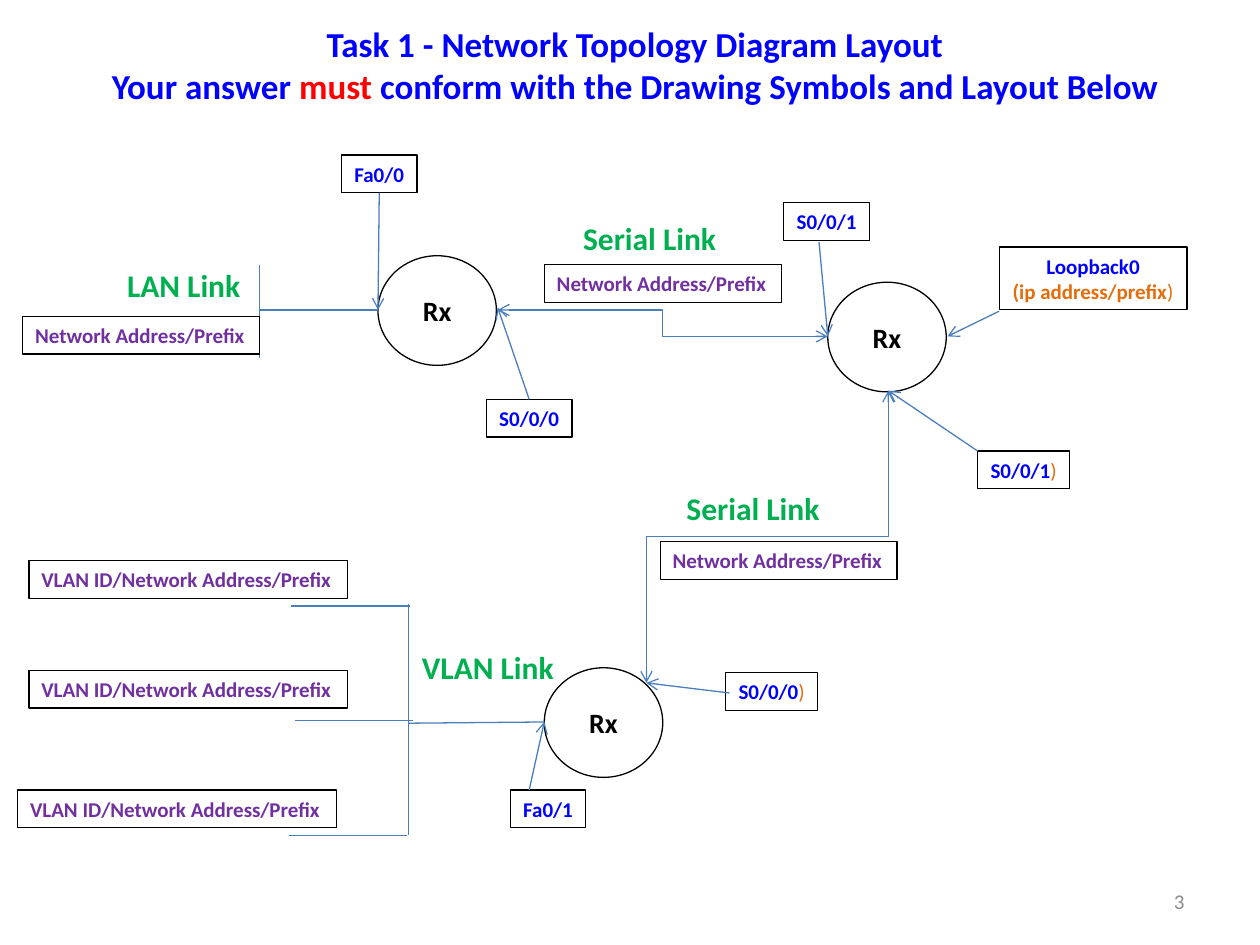
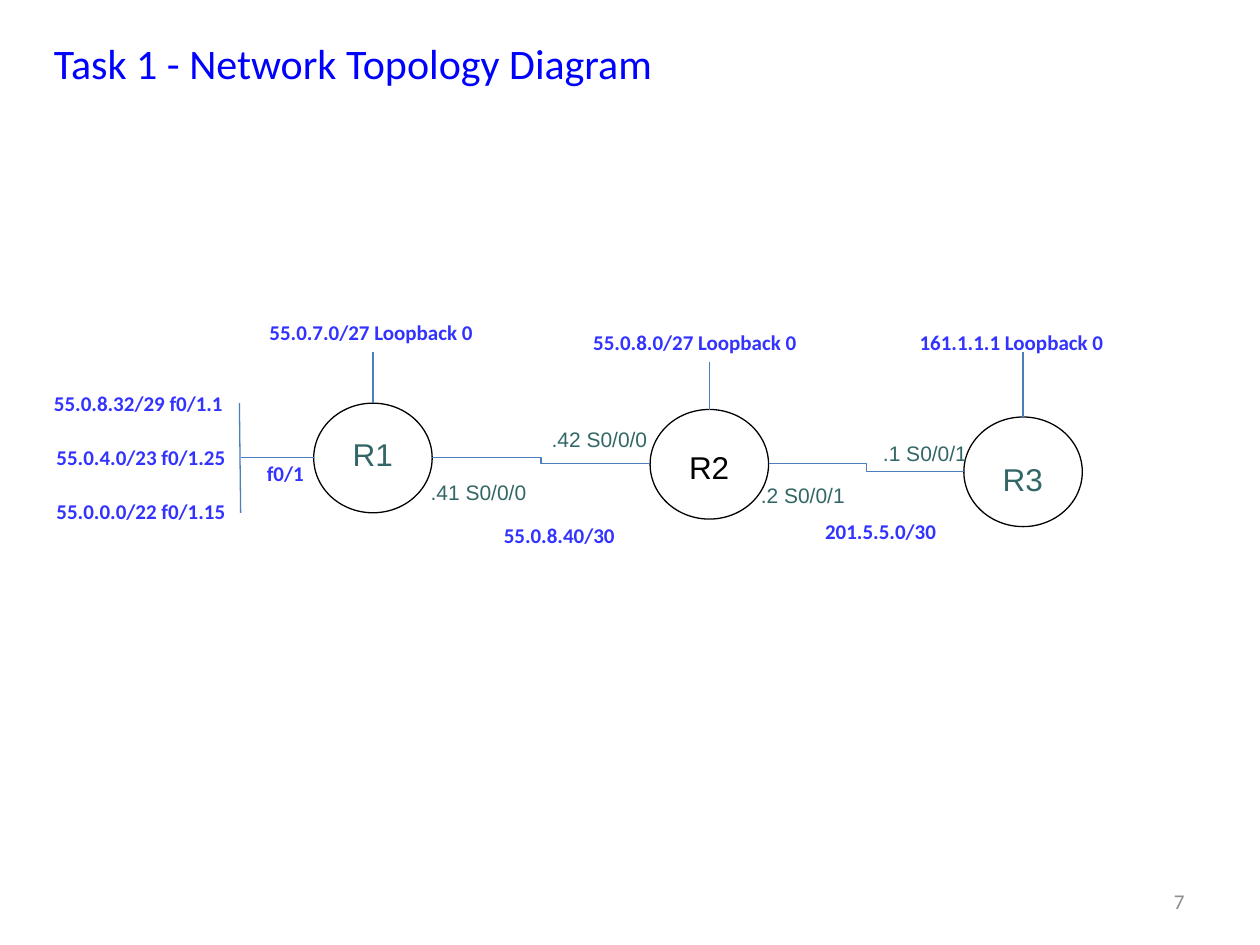
from lxml.etree import SubElement
from pptx import Presentation
from pptx.dml.color import RGBColor
from pptx.enum.shapes import MSO_CONNECTOR, MSO_SHAPE
from pptx.enum.text import MSO_ANCHOR, MSO_AUTO_SIZE, PP_ALIGN
from pptx.oxml.ns import qn
from pptx.util import Emu, Pt

EMU_PER_PX = 9144
ROUTER_W, ROUTER_H = 94, 87
LINE_H = 30
HEADING_H = 40
COLORS = {
    "title": "0000FF",
    "alert": "FF0000",
    "port": "0000FF",
    "hint": "E46C0A",
    "link": "00B050",
    "network": "7030A0",
    "address": "3333FF",
    "interface": "336666",
    "wire": "4B7EBC",
    "number": "8C8C8C",
    "black": "000000",
    "white": "FFFFFF",
}
BOTH_ENDS = ("headEnd", "tailEnd")
FAR_END = ("tailEnd",)


def px(*lengths):
    return [Emu(round(length * EMU_PER_PX)) for length in lengths]


def rgb(name):
    return RGBColor.from_string(COLORS[name])


def outline(shape, color):
    shape.line.color.rgb = rgb(color)
    shape.line.width = Pt(0.75)


def write(frame, paragraphs, size, color, bold=False, font="Calibri", align=PP_ALIGN.LEFT):
    for index, runs in enumerate(paragraphs):
        paragraph = frame.add_paragraph() if index else frame.paragraphs[0]
        paragraph.alignment = align
        paragraph.font.name = font
        paragraph.font.size = Pt(size)
        if isinstance(runs, str):
            paragraph.add_run().text = runs
            paragraph.font.color.rgb = rgb(color)
            paragraph.font.bold = bold
            continue
        for text, run_color, run_bold in runs:
            run = paragraph.add_run()
            run.text = text
            run.font.color.rgb = rgb(run_color)
            run.font.bold = run_bold


def add_text(slide, box, paragraphs, size, color, wrap=False, **style):
    label = slide.shapes.add_textbox(*px(*box))
    label.text_frame.word_wrap = wrap
    label.text_frame.auto_size = MSO_AUTO_SIZE.SHAPE_TO_FIT_TEXT
    write(label.text_frame, paragraphs, size, color, **style)
    return label


def add_boxed(slide, box, paragraphs, color, align=PP_ALIGN.LEFT):
    label = add_text(slide, box, paragraphs, 12, color, bold=True, align=align)
    outline(label, "black")
    return label


def add_port(slide, left, top, width, *paragraphs, height=LINE_H):
    return add_boxed(slide, (left, top, width, height), paragraphs, "port", PP_ALIGN.CENTER)


def add_network(slide, left, top, width, text):
    return add_boxed(slide, (left, top, width, LINE_H), [text], "network")


def add_link_name(slide, left, top, width, text):
    add_text(slide, (left, top, width, HEADING_H), [text], 18, "link", bold=True)


def add_address(slide, left, top, width, text):
    return add_text(slide, (left, top, width, LINE_H), [text], 12, "address", bold=True)


def add_router(slide, left, top, name=None):
    router = slide.shapes.add_shape(MSO_SHAPE.OVAL, *px(left, top, ROUTER_W, ROUTER_H))
    router.shadow.inherit = False
    router.fill.solid()
    router.fill.fore_color.rgb = rgb("white")
    outline(router, "black")
    if name:
        router.text_frame.word_wrap = False
        router.text_frame.vertical_anchor = MSO_ANCHOR.MIDDLE
        write(router.text_frame, [name], 16, "black", bold=True, align=PP_ALIGN.CENTER)


def add_wire(slide, begin, end, arrows=(), kind=MSO_CONNECTOR.STRAIGHT):
    wire = slide.shapes.add_connector(kind, *px(*begin, *end))
    outline(wire, "wire")
    properties = wire.element.spPr
    line = properties.find(qn("a:ln"))
    for tip in arrows:
        SubElement(line, qn(f"a:{tip}"), type="arrow")
    SubElement(properties, qn("a:effectLst"))
    return wire


def add_elbow(slide, begin, end, arrows=()):
    add_wire(slide, begin, end, arrows, MSO_CONNECTOR.ELBOW)


def add_upright_elbow(slide, begin, end, arrows=()):
    middle_x, middle_y = (begin[0] + end[0]) / 2, (begin[1] + end[1]) / 2
    turned = [(middle_x + y - middle_y, middle_y - x + middle_x) for x, y in (begin, end)]
    wire = add_wire(slide, *turned, arrows, MSO_CONNECTOR.ELBOW)
    wire.element.spPr.find(qn("a:xfrm")).set("rot", "5400000")


def add_page_number(slide, number):
    page = slide.shapes.add_textbox(*px(717, 695, 233, 40))
    page.text_frame.word_wrap = True
    page.text_frame.vertical_anchor = MSO_ANCHOR.MIDDLE
    write(page.text_frame, [number], 12, "number", align=PP_ALIGN.RIGHT)


def build_layout_guide(slide):
    for left, top in ((300, 203), (657, 224), (432, 530)):
        add_router(slide, left, top, "Rx")
    add_text(slide, (12, 13, 984, 77), [
        "Task 1 - Network Topology Diagram Layout",
        [("Your answer ", "title", True), ("must ", "alert", True),
         ("conform with the Drawing Symbols and Layout Below", "title", True)],
    ], 20, "title", wrap=True, bold=True, align=PP_ALIGN.CENTER)

    add_elbow(slide, (395, 246), (657, 267), BOTH_ENDS)
    add_upright_elbow(slide, (513, 542), (705, 310), BOTH_ENDS)
    for begin, end in (
        ((300, 246), (206, 246)),
        ((206, 210), (206, 284)),
        ((324, 479), (324, 663)),
        ((432, 573), (324, 574)),
    ):
        add_wire(slide, begin, end)
    for row, right in enumerate((325, 328, 323)):
        spur_y = 481 + 91 * row
        add_wire(slide, (right, spur_y), (right - 94, spur_y))

    for left, top, width, text in (
        (453, 169, 127, "Serial Link"),
        (91, 206, 111, "LAN Link"),
        (325, 509, 126, "VLAN Link"),
        (535, 383, 127, "Serial Link"),
    ):
        add_link_name(slide, left, top, width, text)
    for left, top in ((18, 251), (432, 210), (524, 430)):
        add_network(slide, left, top, 188, "Network Address/Prefix")
    for left, top in ((23, 445), (23, 532), (14, 627)):
        add_network(slide, left, top, 253, "VLAN ID/Network Address/Prefix")

    serial_port = add_port(slide, 386, 317, 68, "S0/0/0")
    lan_port = add_port(slide, 271, 123, 60, "Fa0/0")
    add_port(slide, 622, 161, 68, "S0/0/1")
    add_port(slide, 405, 627, 60, "Fa0/1")
    for left, top, text in ((776, 358, "S0/0/1"), (576, 534, "S0/0/0")):
        add_port(slide, left, top, 73, [(text, "port", True), (")", "hint", False)])
    add_port(slide, 793, 196, 149, "Loopback0",
             [("(ip address/prefix", "hint", True), (")", "hint", False)], height=50)

    add_wire(slide, (420, 317), (395, 244), FAR_END).begin_connect(serial_port, 0)
    add_wire(slide, (301, 153), (300, 246), FAR_END).begin_connect(lan_port, 2)
    for begin, end in (
        ((650, 192), (657, 267)),
        ((420, 627), (432, 573)),
        ((579, 550), (513, 542)),
        ((776, 358), (705, 310)),
        ((793, 247), (752, 267)),
    ):
        add_wire(slide, begin, end, FAR_END)
    add_page_number(slide, "3")


def build_topology(slide):
    for left, top in ((249, 320), (765, 331), (516, 325)):
        add_router(slide, left, top)
    add_text(slide, (33, 25, 499, 50), ["Task 1 - Network Topology Diagram"], 24, "title")

    for left, top, name, color in (
        (270, 340, "R1", "interface"),
        (537, 351, "R2", "black"),
        (786, 360, "R3", "interface"),
    ):
        add_text(slide, (left, top, 52, HEADING_H), [name], 18, color, font="Arial")

    for row, (left, text) in enumerate((
        (33, "55.0.8.32/29 f0/1.1"),
        (35, "55.0.4.0/23 f0/1.25"),
        (35, "55.0.0.0/22 f0/1.15"),
    )):
        add_address(slide, left, 305 + 43 * row, 156, text)
    for left, top, width, text in (
        (461, 257, 184, "55.0.8.0/27 Loopback 0"),
        (720, 257, 169, "161.1.1.1 Loopback 0"),
        (390, 410, 110, "55.0.8.40/30"),
        (645, 407, 110, "201.5.5.0/30"),
        (202, 361, 50, "f0/1"),
    ):
        add_address(slide, left, top, width, text)
    first_loopback = add_address(slide, 204, 249, 184, "55.0.7.0/27 Loopback 0")

    for left, top, text in (
        (332, 376, ".41 S0/0/0"),
        (428, 334, ".42 S0/0/0"),
        (594, 378, ".2 S0/0/1"),
        (691, 345, ".1 S0/0/1"),
    ):
        add_text(slide, (left, top, 113, LINE_H), [text], 12, "interface", wrap=True, font="Arial")

    add_elbow(slide, (343, 363), (516, 368))
    add_elbow(slide, (610, 368), (765, 374))
    add_wire(slide, (296, 320), (296, 279)).end_connect(first_loopback, 2)
    for begin, end in (
        ((563, 325), (563, 287)),
        ((812, 331), (812, 279)),
        ((190, 320), (191, 407)),
        ((191, 363), (249, 363)),
    ):
        add_wire(slide, begin, end)
    add_page_number(slide, "7")


def main():
    deck = Presentation()
    deck.slide_width, deck.slide_height = px(1000, 750)
    blank = deck.slide_layouts[6]
    for build in (build_layout_guide, build_topology):
        build(deck.slides.add_slide(blank))
    deck.save("out.pptx")


if __name__ == "__main__":
    main()
